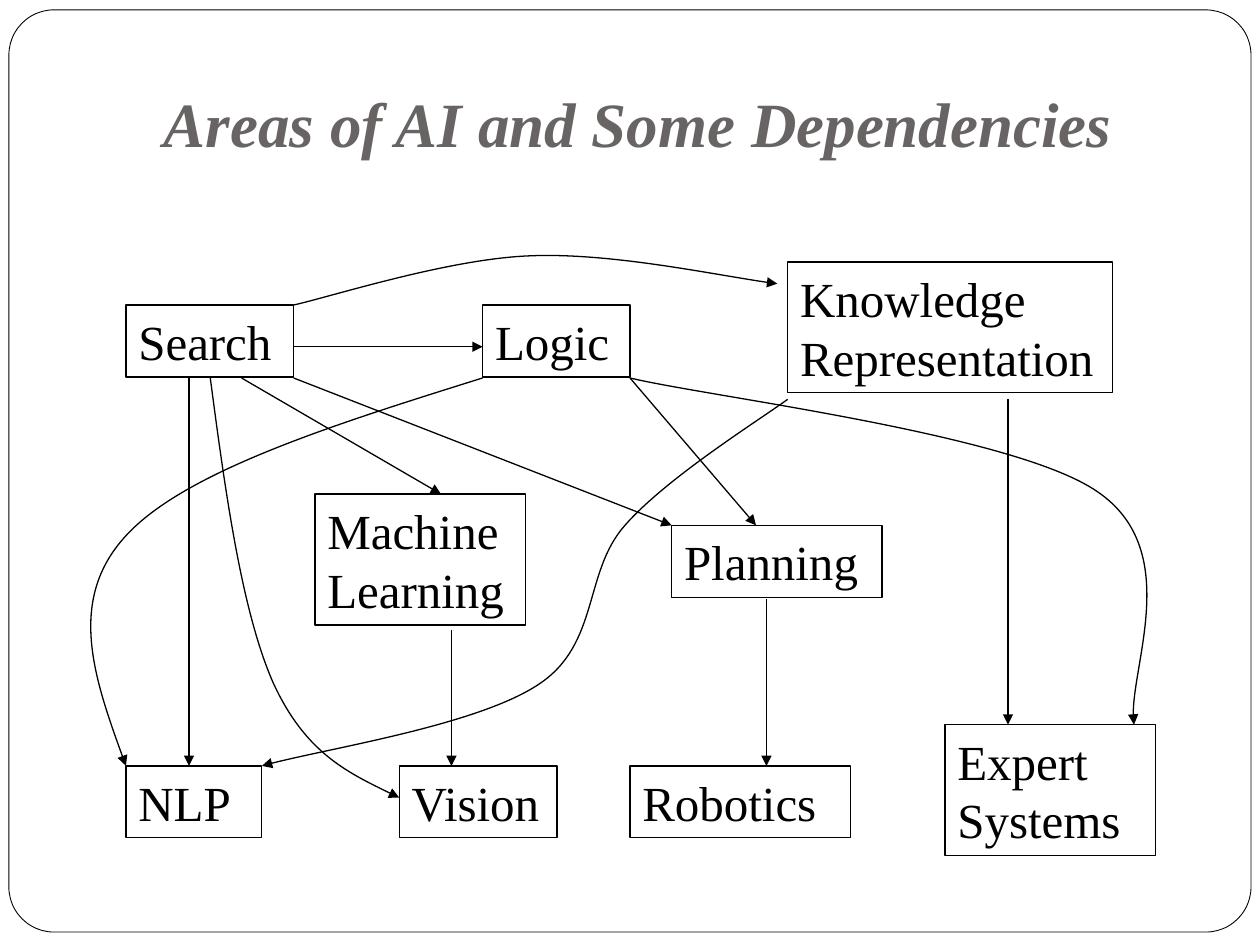
from lxml import etree
from pptx import Presentation
from pptx.dml.color import RGBColor
from pptx.enum.shapes import MSO_CONNECTOR, MSO_SHAPE
from pptx.enum.text import MSO_ANCHOR, PP_ALIGN
from pptx.oxml.ns import qn
from pptx.util import Cm, Pt

RECTANGLE, ROUNDED = MSO_SHAPE.RECTANGLE, MSO_SHAPE.ROUNDED_RECTANGLE
STRAIGHT = MSO_CONNECTOR.STRAIGHT
LEFT, CENTER = PP_ALIGN.LEFT, PP_ALIGN.CENTER
TOP, BOTTOM = MSO_ANCHOR.TOP, MSO_ANCHOR.BOTTOM

FONT = "Times New Roman"
BLACK, WHITE, GRAY = "000000", "FFFFFF", "696464"
ONE_LINE, TWO_LINES = 1.45, 2.64
TITLE = "Areas of AI and Some Dependencies"

AREAS = [
    ("Search", 2.54, 6.15, 3.38, ONE_LINE),
    ("Logic", 9.73, 6.15, 2.97, ONE_LINE),
    ("Knowledge Representation", 15.88, 5.28, 6.55, TWO_LINES),
    ("Machine Learning", 6.35, 9.96, 4.24, TWO_LINES),
    ("Planning", 13.54, 10.59, 4.24, ONE_LINE),
    ("NLP", 2.54, 15.44, 2.74, ONE_LINE),
    ("Vision", 8.05, 15.44, 3.18, ONE_LINE),
    ("Robotics", 12.7, 15.44, 4.45, ONE_LINE),
    ("Expert Systems", 19.05, 14.61, 4.24, TWO_LINES),
]

STRAIGHT_ARROWS = [
    ((3.81, 7.62), (3.81, 15.44)),
    ((5.92, 6.99), (9.73, 6.99)),
    ((5.92, 7.62), (13.54, 10.59)),
    ((4.87, 7.62), (8.89, 9.96)),
    ((12.7, 7.62), (15.24, 10.59)),
    ((20.32, 8.05), (20.32, 14.61)),
    ((9.1, 12.7), (9.1, 15.44)),
    ((15.45, 12.07), (15.45, 15.44)),
]

CURVED_ARROWS = [
    [(5.92, 6.15), (6.71, 5.97), (9.02, 5.23), (10.64, 5.16),
     (12.27, 5.08), (14.63, 5.59), (15.67, 5.72)],
    [(4.24, 7.62), (4.55, 9.98), (4.88, 12.34), (5.51, 13.77),
     (6.15, 15.16), (7.09, 15.62), (8.05, 16.08)],
    [(9.73, 7.62), (6.73, 8.56), (3.73, 9.5), (2.54, 10.8),
     (1.35, 12.09), (1.93, 13.77), (2.54, 15.44)],
    [(12.7, 7.62), (14.27, 8), (20.42, 8.74), (22.12, 9.91),
     (23.83, 11.07), (22.71, 13.61), (22.86, 14.61)],
    [(15.88, 8.05), (15.32, 8.46), (13.44, 9.63), (12.6, 10.59),
     (11.76, 11.53), (12.09, 12.98), (10.87, 13.79),
     (9.65, 14.61), (6.45, 15.11), (5.28, 15.44)],
]


def color(value):
    return RGBColor.from_string(value)


def set_line(shape, width=0.75, arrow=False):
    shape.line.color.rgb = color(BLACK)
    shape.line.width = Pt(width)
    if arrow:
        outline = shape.line._get_or_add_ln()
        etree.SubElement(outline, qn("a:tailEnd"), type="triangle")


def write(shape, text, size=28, fill=BLACK, bold=False, italic=False,
          align=LEFT, anchor=TOP, bottom=0.13):
    frame = shape.text_frame
    frame.word_wrap = True
    frame.vertical_anchor = anchor
    frame.margin_left = frame.margin_right = Cm(0.25)
    frame.margin_top, frame.margin_bottom = Cm(0.13), Cm(bottom)
    para = frame.paragraphs[0]
    para.alignment = align
    span = para.add_run()
    span.text = text
    span.font.name = FONT
    span.font.size = Pt(size)
    span.font.bold, span.font.italic = bold, italic
    span.font.color.rgb = color(fill)


def add_box(page, kind, left, top, width, height):
    box = page.shapes.add_shape(kind, Cm(left), Cm(top), Cm(width), Cm(height))
    box.shadow.inherit = False
    set_line(box)
    return box


def add_straight_arrow(page, start, end):
    arrow = page.shapes.add_connector(STRAIGHT, *map(Cm, start + end))
    set_line(arrow, arrow=True)
    etree.SubElement(arrow._element.spPr, qn("a:effectLst"))


def add_curved_arrow(page, points):
    start, *controls = [(Cm(x), Cm(y)) for x, y in points]
    builder = page.shapes.build_freeform(*start)
    builder.add_line_segments(controls, close=False)
    curve = builder.convert_to_shape()
    curve.shadow.inherit = False
    curve.fill.background()
    set_line(curve, arrow=True)
    segments = list(curve._element.iter(qn("a:lnTo")))
    outline = segments[0].getparent()
    for first in range(0, len(segments), 3):
        bezier = etree.SubElement(outline, qn("a:cubicBezTo"))
        for segment in segments[first:first + 3]:
            bezier.append(segment[0])
            outline.remove(segment)


def main():
    deck = Presentation()
    deck.slide_width, deck.slide_height = Cm(25.4), Cm(19.05)
    page = deck.slides.add_slide(deck.slide_layouts[6])

    border = add_box(page, ROUNDED, 0.18, 0.2, 25.04, 18.59)
    border.adjustments[0] = 0.049
    border.fill.solid()
    border.fill.fore_color.rgb = color(WHITE)
    set_line(border, width=0.5)

    title = page.shapes.add_textbox(Cm(1.9), Cm(1.07), Cm(21.92), Cm(2.41))
    write(title, TITLE, size=36, fill=GRAY, bold=True, italic=True,
          align=CENTER, anchor=BOTTOM, bottom=0.25)

    for name, *place in AREAS:
        area = add_box(page, RECTANGLE, *place)
        area.fill.background()
        write(area, name)
    for start, end in STRAIGHT_ARROWS:
        add_straight_arrow(page, start, end)
    for points in CURVED_ARROWS:
        add_curved_arrow(page, points)

    deck.save("out.pptx")


if __name__ == "__main__":
    main()
